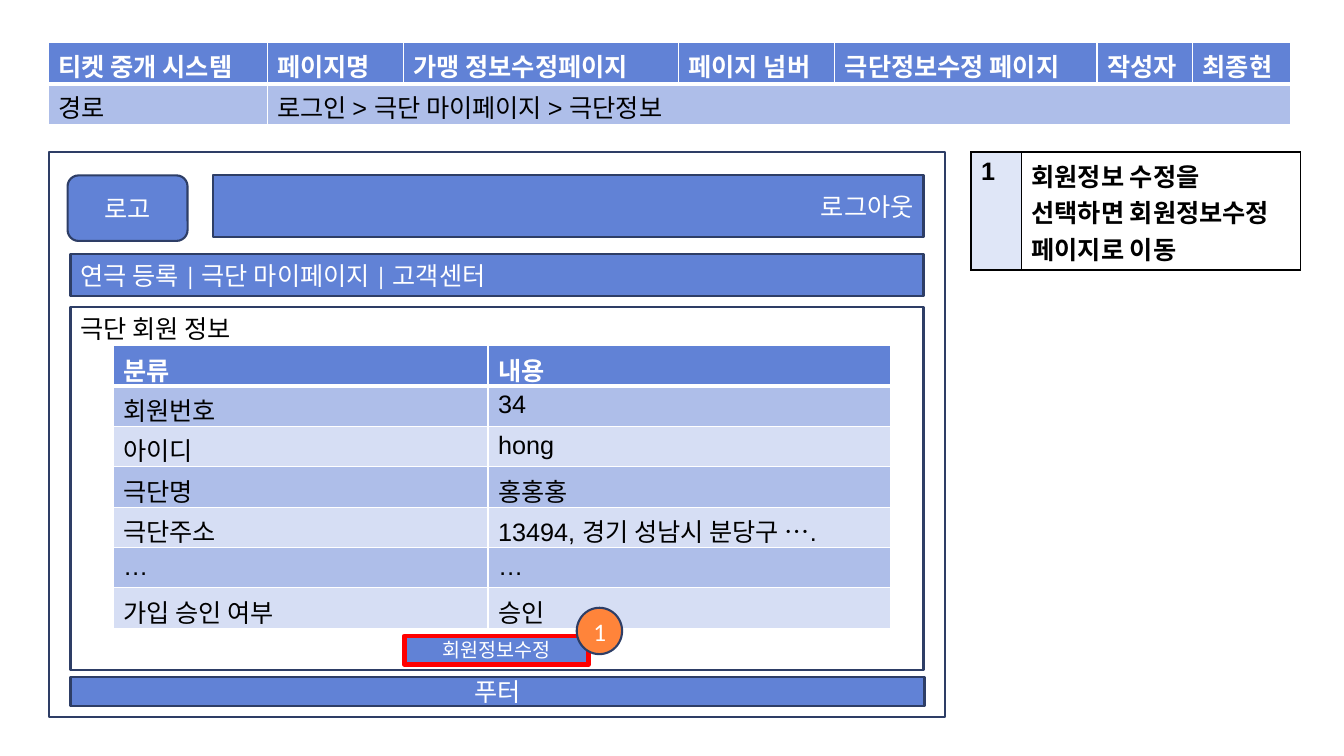
"""Build the wireframe slide for the theatre member information page."""
from lxml import etree
from pptx import Presentation
from pptx.dml.color import RGBColor
from pptx.enum import shapes, text
from pptx.oxml import ns
from pptx.util import Inches, Pt

BLUE = RGBColor(0x61, 0x82, 0xD6)
NAVY = RGBColor(0x2E, 0x3E, 0x66)
BAND_DARK = RGBColor(0xAE, 0xBE, 0xE9)
BAND_LIGHT = RGBColor(0xD6, 0xDE, 0xF4)
NOTE_BLUE = RGBColor(0xDF, 0xE6, 0xF7)
ORANGE = RGBColor(0xFF, 0x84, 0x3A)
RED = RGBColor(0xFF, 0x00, 0x00)
WHITE = RGBColor(0xFF, 0xFF, 0xFF)
BLACK = RGBColor(0x00, 0x00, 0x00)

RECT = shapes.MSO_SHAPE.RECTANGLE
ROUND = shapes.MSO_SHAPE.ROUNDED_RECTANGLE
OVAL = shapes.MSO_SHAPE.OVAL
LEFT, CENTER, RIGHT = text.PP_ALIGN.LEFT, text.PP_ALIGN.CENTER, text.PP_ALIGN.RIGHT

HEADINGS = ["티켓 중개 시스템", "페이지명", "가맹 정보수정페이지", "페이지 넘버",
            "극단정보수정 페이지", "작성자", "최종현"]
MEMBER_ROWS = [
    ["분류", "내용"],
    ["회원번호", "34"],
    ["아이디", "hong"],
    ["극단명", "홍홍홍"],
    ["극단주소", "13494, 경기 성남시 분당구 …."],
    ["…", "…"],
    ["가입 승인 여부", "승인"],
]


def write(frame, words, size=18, font="Calibri", color=WHITE, bold=False, align=LEFT):
    """Put one formatted paragraph into a text frame."""
    para = frame.paragraphs[0]
    para.alignment = align
    span = para.add_run()
    span.text = words
    span.font.size = Pt(size)
    span.font.name = font
    span.font.bold = bold
    span.font.color.rgb = color


def add_box(page, kind, place, words="", fill=BLUE, line=NAVY, weight=1.5, **style):
    """Add an outlined preset shape, filled and labelled if asked."""
    box = page.shapes.add_shape(kind, *map(Inches, place))
    box.shadow.inherit = False
    if fill is None:
        box.fill.background()
    else:
        box.fill.solid()
        box.fill.fore_color.rgb = fill
    box.line.color.rgb = line
    box.line.width = Pt(weight)
    if words:
        box.text_frame.word_wrap = True
        box.text_frame.vertical_anchor = text.MSO_ANCHOR.MIDDLE
        write(box.text_frame, words, **{"align": CENTER, **style})


def add_label(page, place, words, **style):
    """Add a plain text box."""
    box = page.shapes.add_textbox(*map(Inches, place))
    box.text_frame.word_wrap = True
    write(box.text_frame, words, **style)


def set_borders(cell, color, left=1, right=1, top=1, bottom=1):
    """Draw the four cell borders with widths in points."""
    properties = cell._tc.get_or_add_tcPr()
    widths = {"L": left, "R": right, "T": top, "B": bottom}
    for index, (side, width) in enumerate(widths.items()):
        line = etree.Element(ns.qn(f"a:ln{side}"), w=str(Pt(width)))
        fill = etree.SubElement(line, ns.qn("a:solidFill"))
        etree.SubElement(fill, ns.qn("a:srgbClr"), val=str(color))
        properties.insert(index, line)


def format_cell(cell, words, fill, **style):
    """Fill a cell and write its text."""
    cell.fill.solid()
    cell.fill.fore_color.rgb = fill
    write(cell.text_frame, words, font="Arial", **style)


def add_grid(page, left, top, widths, height, count):
    """Add an unstyled table with equal rows and return it."""
    frame = page.shapes.add_table(count, len(widths), Inches(left), Inches(top),
                                  Inches(sum(widths)), Inches(height * count))
    table = frame.table
    table.first_row = table.horz_banding = False
    for column, width in zip(table.columns, widths):
        column.width = Inches(width)
    for row in table.rows:
        row.height = Inches(height)
    return table


def add_banded_table(page, left, top, widths, height, rows):
    """Add a table with a blue header and alternating bands."""
    table = add_grid(page, left, top, widths, height, len(rows))
    for r, row in enumerate(rows):
        header = r == 0
        band = BLUE if header else BAND_DARK if r % 2 else BAND_LIGHT
        for c, words in enumerate(row):
            cell = table.cell(r, c)
            format_cell(cell, words, band, bold=header, color=WHITE if header else BLACK)
            set_borders(cell, WHITE, top=3 if r == 1 else 1, bottom=3 if header else 1)
    return table


def add_note(page, number, words):
    """Add the numbered description beside the wireframe."""
    table = add_grid(page, 9.63, 1.51, [0.5, 2.77], 1.17, 1)
    for c, (content, fill) in enumerate([(number, NOTE_BLUE), (words, WHITE)]):
        format_cell(table.cell(0, c), content, fill, color=BLACK, bold=True)
        set_borders(table.cell(0, c), BLACK, 1.2, 1.2, 1.2, 1.2)


def main():
    """Create the slide and save it."""
    deck = Presentation()
    deck.slide_width, deck.slide_height = Inches(13.33), Inches(7.5)
    page = deck.slides.add_slide(deck.slide_layouts[6])

    button = (4.01, 6.31, 1.83, 0.28)
    add_box(page, ROUND, button, "회원정보수정", size=14)
    add_box(page, RECT, (0.49, 1.51, 8.88, 5.6), fill=None)
    add_box(page, RECT, (0.7, 3.05, 8.46, 3.6), fill=None)
    add_label(page, (0.7, 3.06, 2.15, 0.4), "극단 회원 정보", color=BLACK)
    add_banded_table(page, 1.12, 3.43, [3.72, 3.99], 0.4, MEMBER_ROWS)
    add_box(page, RECT, (0.7, 6.72, 8.47, 0.28), "푸터")
    add_note(page, "1", "회원정보 수정을 선택하면 회원정보수정 페이지로 이동")
    add_box(page, ROUND, (0.67, 1.74, 1.19, 0.65), "로고")
    add_box(page, RECT, (2.11, 1.74, 7.05, 0.61), "로그아웃", align=RIGHT)
    add_box(page, RECT, (0.7, 2.52, 8.46, 0.42),
            "연극 등록 | 극단 마이페이지 | 고객센터", align=LEFT)

    route = ["경로", "로그인 > 극단 마이페이지 > 극단정보"]
    heading = add_banded_table(page, 0.48, 0.42, [2.17, 1.35, 2.73, 1.55, 2.6, 0.95, 0.97],
                               0.41, [HEADINGS, route])
    heading.cell(1, 1).merge(heading.cell(1, len(HEADINGS) - 1))

    add_box(page, RECT, button, fill=None, line=RED, weight=3.5)
    add_box(page, OVAL, (5.72, 6.03, 0.45, 0.46), "1", fill=ORANGE)
    deck.save("out.pptx")


main()
